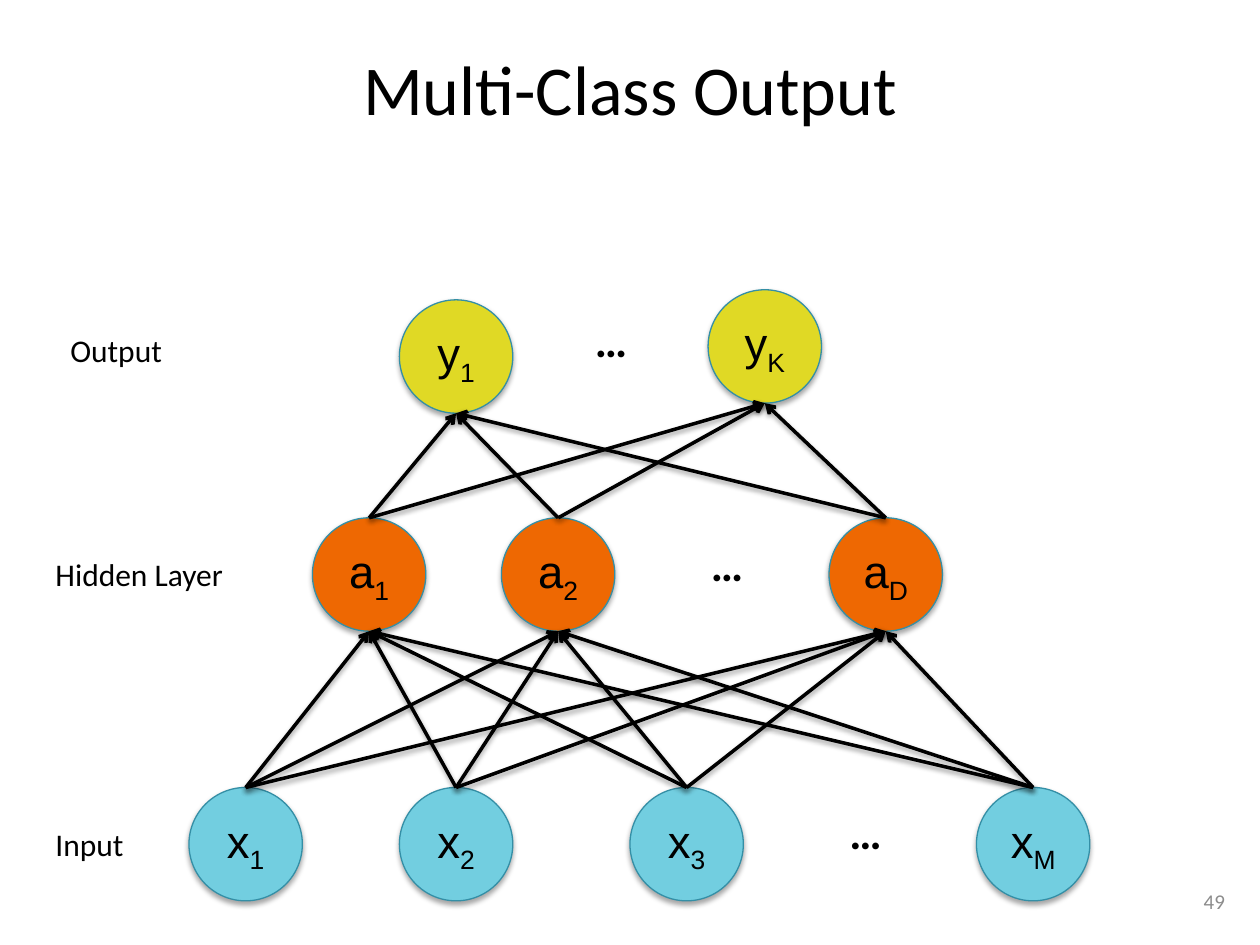
from itertools import product

from lxml.etree import SubElement
from pptx import Presentation
from pptx.dml.color import RGBColor
from pptx.enum.shapes import MSO_CONNECTOR as Connector, MSO_SHAPE as Shape
from pptx.enum.text import MSO_ANCHOR as Anchor, PP_ALIGN as Align
from pptx.oxml.ns import qn
from pptx.util import Inches, Pt

# Content: (symbol, subscript, column centre) per node, in slide widths
W, H = 10, 7.5
TITLE, PAGE = "Multi-Class Output", "49"
LAYERS = {
    "output": dict(top=2.38, nodes=[("y", "1", .362), ("y", "K", .607)]),
    "hidden": dict(top=4.11, nodes=[("a", "1", .293), ("a", "2", .443), ("a", "D", .703)]),
    "input": dict(top=6.25, nodes=[("x", "1", .195), ("x", "2", .362),
                                   ("x", "3", .545), ("x", "M", .82)]),
}
RAISED = {"K": .08}  # this node sits a little above its row
LABELS = [
    ("Output", (.46, 2.58, 1.42, .4), Align.LEFT),
    ("Hidden Layer", (-.02, 4.36, 2.25, .4), Align.CENTER),
    ("Input", (0, 6.5, 1.42, .4), Align.CENTER),
]
ELLIPSES = [(4.56, 2.42), (5.48, 4.2), (6.58, 6.33)]
LINKS = [("output", "hidden"), ("hidden", "input")]
DIAMETER = .9

THEME = dict(
    output="E0D925", hidden="EE6802", input="72CEE0", rim="348FA6",
    ink="000000", muted="8C8C8C", body="Calibri", symbol="Arial",
    title_size=40, node_size=26, label_size=18, page_size=12,
    rim_width=.75, arrow_width=2,
)


def rgb(key):
    return RGBColor.from_string(THEME[key])


def write(frame, *texts, size="label_size", font="body", color="ink",
          align=Align.CENTER, anchor=Anchor.MIDDLE, bold=False):
    """Write one paragraph; any text after the first is a subscript."""
    frame.word_wrap = True
    frame.vertical_anchor = anchor
    line = frame.paragraphs[0]
    line.alignment = align
    for index, text in enumerate(texts):
        run = line.add_run()
        run.text = text
        run.font.name = THEME[font]
        run.font.size = Pt(THEME[size])
        run.font.bold = bold
        run.font.color.rgb = rgb(color)
        if index:
            run.font._element.set("baseline", "-25000")


def add_text(text, box, **style):
    write(slide.shapes.add_textbox(*map(Inches, box)).text_frame, text, **style)


def drop_shadow(effects, distance, opacity):
    shadow = SubElement(effects, qn("a:outerShdw"), blurRad=str(Pt(3.1)),
                        dist=str(Pt(distance)), dir="5400000", rotWithShape="0")
    tint = SubElement(shadow, qn("a:srgbClr"), val=THEME["ink"])
    SubElement(tint, qn("a:alpha"), val=str(opacity * 1000))


def add_node(layer, top, symbol, subscript, center):
    top -= RAISED.get(subscript, 0)
    box = (center * W - DIAMETER / 2, top, DIAMETER, DIAMETER)
    node = slide.shapes.add_shape(Shape.FLOWCHART_CONNECTOR, *map(Inches, box))
    node.fill.solid()
    node.fill.fore_color.rgb = rgb(layer)
    node.line.color.rgb = rgb("rim")
    node.line.width = Pt(THEME["rim_width"])
    node.shadow.inherit = False
    drop_shadow(node._element.spPr.find(qn("a:effectLst")), 1.8, 35)
    frame = node.text_frame
    frame.margin_left = frame.margin_right = 0
    write(frame, symbol, subscript, size="node_size", font="symbol")
    return node


def add_arrow(target, source):
    """Link the top of source to the bottom of target, arrowhead at target."""
    arrow = slide.shapes.add_connector(
        Connector.STRAIGHT,
        target.left + target.width // 2, target.top + target.height,
        source.left + source.width // 2, source.top)
    arrow.line.color.rgb = rgb("ink")
    arrow.line.width = Pt(THEME["arrow_width"])
    SubElement(arrow.line._get_or_add_ln(), qn("a:headEnd"), type="arrow")
    drop_shadow(SubElement(arrow._element.spPr, qn("a:effectLst")), 1.6, 38)


deck = Presentation()
deck.slide_width, deck.slide_height = Inches(W), Inches(H)
slide = deck.slides.add_slide(deck.slide_layouts[6])

# Title and page number
add_text(TITLE, (.5, .3, 9, .79), size="title_size")
add_text(PAGE, (8.87, 6.95, .95, .4), size="page_size", color="muted", align=Align.RIGHT)

# Network nodes, then the full set of links between neighbouring layers
network = {
    name: [add_node(name, layer["top"], *node) for node in layer["nodes"]]
    for name, layer in LAYERS.items()
}
for upper, lower in LINKS:
    for target, source in product(network[upper], network[lower]):
        add_arrow(target, source)

# Layer labels and the dots for omitted nodes
for label, box, align in LABELS:
    add_text(label, box, align=align, anchor=Anchor.TOP)
for left, top in ELLIPSES:
    add_text("…", (left, top, .58, .54), size="node_size", bold=True)

deck.save("out.pptx")
